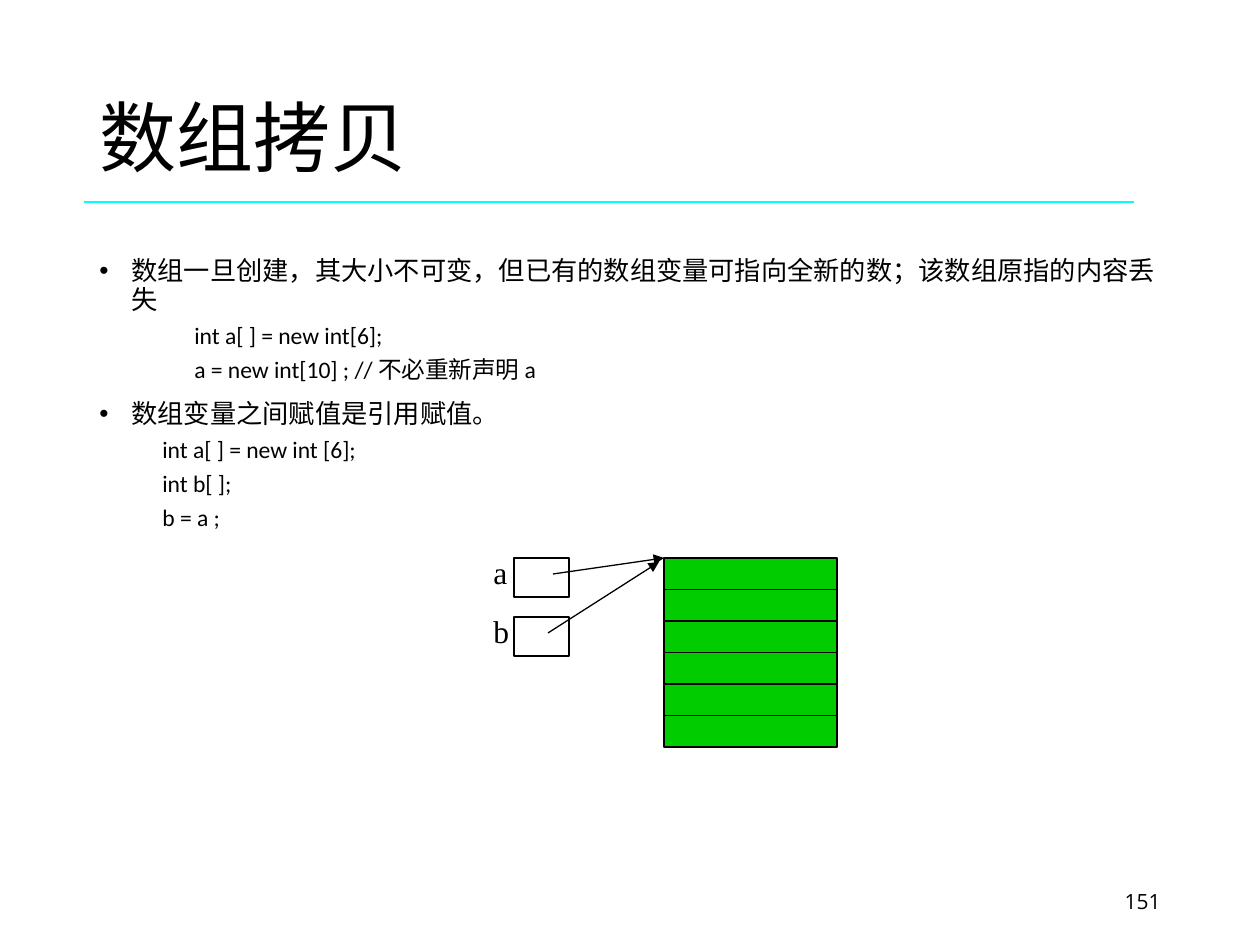
from lxml import etree
from pptx import Presentation
from pptx.dml.color import RGBColor
from pptx.enum.shapes import MSO_CONNECTOR, MSO_SHAPE
from pptx.enum.text import MSO_ANCHOR, MSO_AUTO_SIZE, PP_ALIGN
from pptx.oxml.ns import qn
from pptx.util import Emu, Pt

STRAIGHT = MSO_CONNECTOR.STRAIGHT
RECTANGLE = MSO_SHAPE.RECTANGLE
MIDDLE = MSO_ANCHOR.MIDDLE
NO_FIT = MSO_AUTO_SIZE.NONE
LEFT, RIGHT = PP_ALIGN.LEFT, PP_ALIGN.RIGHT
TITLE_ONLY = 5
PIXELS_PER_INCH = 126
COLORS = {"ink": "000000", "paper": "FFFFFF", "cell": "00CC00", "rule": "00FFFF"}
BODY_LINES = [
    ("bullet", "数组一旦创建，其大小不可变，但已有的数组变量可指向全新的数；该数组原指的内容丢失"),
    ("deep", "int a[ ] = new int[6];"),
    ("deep", "a = new int[10] ; // 不必重新声明 a "),
    ("bullet", "数组变量之间赋值是引用赋值。"),
    ("code", "int a[ ] = new int [6];"),
    ("code", "int b[ ];"),
    ("code", "b = a ;"),
]
LINE_STYLES = {
    "bullet": {"size": 15, "before": 10, "margin": 32, "indent": -32},
    "deep": {"size": 13.5, "before": 5, "margin": 95, "indent": 0},
    "code": {"size": 13.5, "before": 5, "margin": 63, "indent": 0},
}


def px(length):
    return Emu(round(length * 914400 / PIXELS_PER_INCH))


def color(name):
    return RGBColor.from_string(COLORS[name])


def set_font(para, name, size):
    para.font.name = name
    para.font.size = Pt(size)
    para.font.color.rgb = color("ink")


def add_text(page, box, text, font, size, wrap=True):
    shape = page.shapes.add_textbox(*map(px, box))
    frame = shape.text_frame
    frame.word_wrap = wrap
    para = frame.paragraphs[0]
    para.text = text
    set_font(para, font, size)
    return frame


def add_rectangle(page, box, fill):
    shape = page.shapes.add_shape(RECTANGLE, *map(px, box))
    shape.shadow.inherit = False
    shape.fill.solid()
    shape.fill.fore_color.rgb = color(fill)
    shape.line.color.rgb = color("ink")
    shape.line.width = Pt(0.75)


def add_line(page, start, end, ink="ink", arrow=False):
    line = page.shapes.add_connector(STRAIGHT, *map(px, start + end))
    line.line.color.rgb = color(ink)
    line.line.width = Pt(0.75)
    if arrow:
        etree.SubElement(line.line._get_or_add_ln(), qn("a:tailEnd"), type="triangle")
    etree.SubElement(line._element.spPr, qn("a:effectLst"))


def place_title(page, box, text):
    title = page.shapes.title
    title.left, title.top, title.width, title.height = map(px, box)
    frame = title.text_frame
    frame.text = text
    frame.auto_size = NO_FIT
    frame.vertical_anchor = MIDDLE
    para = frame.paragraphs[0]
    para.alignment = LEFT
    para.line_spacing = 0.9
    set_font(para, "Calibri", 44)
    left, top, width, height = box
    add_line(page, (left - 3, top + 152), (left + 1047, top + 152), "rule")


def add_body(page, box, lines):
    frame = page.shapes.add_textbox(*map(px, box)).text_frame
    frame.word_wrap = True
    for index, (kind, text) in enumerate(lines):
        style = LINE_STYLES[kind]
        para = frame.add_paragraph() if index else frame.paragraphs[0]
        para.text = text
        para.line_spacing = 0.9
        para.space_before = Pt(style["before"])
        set_font(para, "Calibri", style["size"])
        props = para._p.get_or_add_pPr()
        props.set("marL", str(px(style["margin"])))
        props.set("indent", str(px(style["indent"])))
        if kind == "bullet":
            etree.SubElement(props, qn("a:buFont"), typeface="Arial")
            etree.SubElement(props, qn("a:buChar"), char="•")


def add_array(page, box, count):
    left, top, width, height = box
    add_rectangle(page, box, "cell")
    for index in range(1, count):
        y = top + height * index / count
        add_line(page, (left, y), (left + width, y))


def add_variable(page, box, name, start, target):
    left, top, width, height = box
    add_text(page, (left - 33, top - 11, 40, 50), name, "Times New Roman", 18, False)
    add_rectangle(page, box, "paper")
    add_line(page, (left + start[0], top + start[1]), target, arrow=True)


def add_reference_diagram(page, box):
    left, top, width, height = box
    array_left = left + 150
    add_array(page, (array_left, top, width - 150, height), 6)
    add_variable(page, (left, top, 55, 39), "a", (39, 16), (array_left, top))
    add_variable(page, (left, top + 59, 55, 39), "b", (34, 16), (array_left - 5, top + 4))


def add_page_number(page, box, number):
    frame = add_text(page, box, number, "Open Sans", 12)
    frame.vertical_anchor = MIDDLE
    frame.paragraphs[0].alignment = RIGHT


def build_array_copy_page(deck):
    page = deck.slides.add_slide(deck.slide_layouts[TITLE_ONLY])
    place_title(page, (87, 50, 1086, 183), "数组拷贝")
    add_body(page, (87, 252, 1086, 600), BODY_LINES)
    add_page_number(page, (890, 876, 283, 50), "151")
    add_reference_diagram(page, (514, 558, 323, 189))


deck = Presentation()
deck.slide_width, deck.slide_height = px(1260), px(945)
build_array_copy_page(deck)
deck.save("out.pptx")
